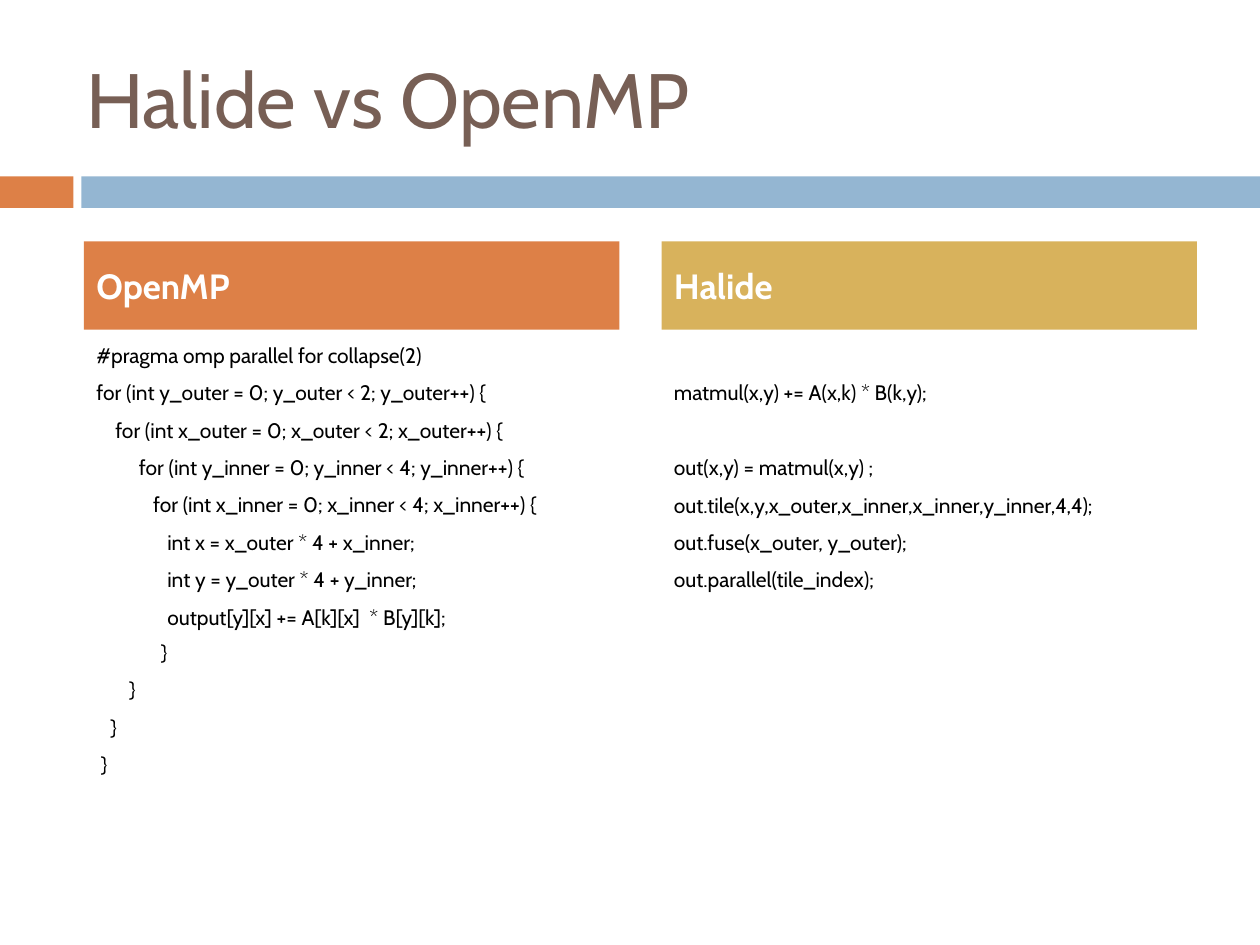
"""Build the Halide vs OpenMP comparison slide."""
import pptx
import pptx.util
import pptx.enum.shapes
import pptx.enum.text

Pt = pptx.util.Pt
ALIGN = pptx.enum.text.PP_ALIGN
ANCHOR = pptx.enum.text.MSO_ANCHOR
COLORS = {"title": "775F55", "orange": "DD8047", "blue": "94B6D2",
          "gold": "D8B25C", "white": "FFFFFF", "black": "000000"}
SPACE_WIDTH = 2.7
LINE_GAP = 7
BLANK_LINE = 21.4


def add_bar(slide, box, color):
    shape = slide.shapes.add_shape(
        pptx.enum.shapes.MSO_SHAPE.RECTANGLE, *(Pt(length) for length in box))
    shape.shadow.inherit = False
    shape.fill.solid()
    shape.fill.fore_color.rgb = pptx.dml.color.RGBColor.from_string(COLORS[color])
    shape.line.fill.background()
    return shape


def write_line(paragraph, text, color, **font_format):
    paragraph.alignment = ALIGN.LEFT
    run = paragraph.add_run()
    run.text = text
    run.font.color.rgb = pptx.dml.color.RGBColor.from_string(COLORS[color])
    for name, value in {"name": "Cabin", **font_format}.items():
        setattr(run.font, name, value)


presentation = pptx.Presentation()
presentation.slide_width, presentation.slide_height = Pt(720), Pt(540)
slide = presentation.slides.add_slide(presentation.slide_layouts[5])

add_bar(slide, (0, 100.8, 42, 18), "orange")
add_bar(slide, (46.5, 100.8, 673.5, 18), "blue")

title = slide.shapes.title
title_format = {"left": Pt(42), "top": Pt(21.6), "width": Pt(642), "height": Pt(68.4)}
for name, value in title_format.items():
    setattr(title, name, value)
title.text_frame.vertical_anchor = ANCHOR.MIDDLE
write_line(title.text_frame.paragraphs[0], "Halide vs OpenMP", "title", size=Pt(44))

openmp_lines = [
    (0, LINE_GAP, "#pragma omp parallel for collapse(2)"),
    (0, LINE_GAP, "for (int y_outer = 0; y_outer < 2; y_outer++) {"),
    (4, LINE_GAP, "for (int x_outer = 0; x_outer < 2; x_outer++) {"),
    (9, LINE_GAP, "for (int y_inner = 0; y_inner < 4; y_inner++) {"),
    (12, LINE_GAP, "for (int x_inner = 0; x_inner < 4; x_inner++) {"),
    (15, LINE_GAP, "int x = x_outer * 4 + x_inner;"),
    (15, LINE_GAP, "int y = y_outer * 4 + y_inner;"),
    (15, LINE_GAP, "output[y][x] += A[k][x]  * B[y][k];"),
    (13.7, 5.5, "}"),
    (7, LINE_GAP, "}"),
    (3, LINE_GAP, "}"),
    (1, LINE_GAP, "}"),
]
halide_lines = [
    (0, LINE_GAP, "matmul(x,y) += A(x,k) * B(k,y);"),
    (0, LINE_GAP + BLANK_LINE, "out(x,y) = matmul(x,y) ;"),
    (0, LINE_GAP, "out.tile(x,y,x_outer,x_inner,x_inner,y_inner,4,4);"),
    (0, LINE_GAP, "out.fuse(x_outer, y_outer);"),
    (0, LINE_GAP, "out.parallel(tile_index);"),
]
columns = [(48, "OpenMP", "orange", 0, openmp_lines),
           (378, "Halide", "gold", BLANK_LINE, halide_lines)]

for left, heading, color, offset, lines in columns:
    header = add_bar(slide, (left, 138, 306, 50.4), color)
    header.text_frame.vertical_anchor = ANCHOR.MIDDLE
    write_line(header.text_frame.paragraphs[0], heading, "white", size=Pt(20), bold=True)

    code = slide.shapes.add_textbox(Pt(left), Pt(192), Pt(306), Pt(282)).text_frame
    code.word_wrap = True
    code.margin_top = Pt(3.6 + offset)
    for index, (spaces, gap, text) in enumerate(lines):
        paragraph = code.add_paragraph() if index else code.paragraphs[0]
        paragraph.space_before = Pt(gap if index else 0)
        properties = paragraph._p.get_or_add_pPr()
        properties.set("marL", str(Pt(spaces * SPACE_WIDTH)))
        write_line(paragraph, text, "black", size=Pt(12))

presentation.save("out.pptx")
